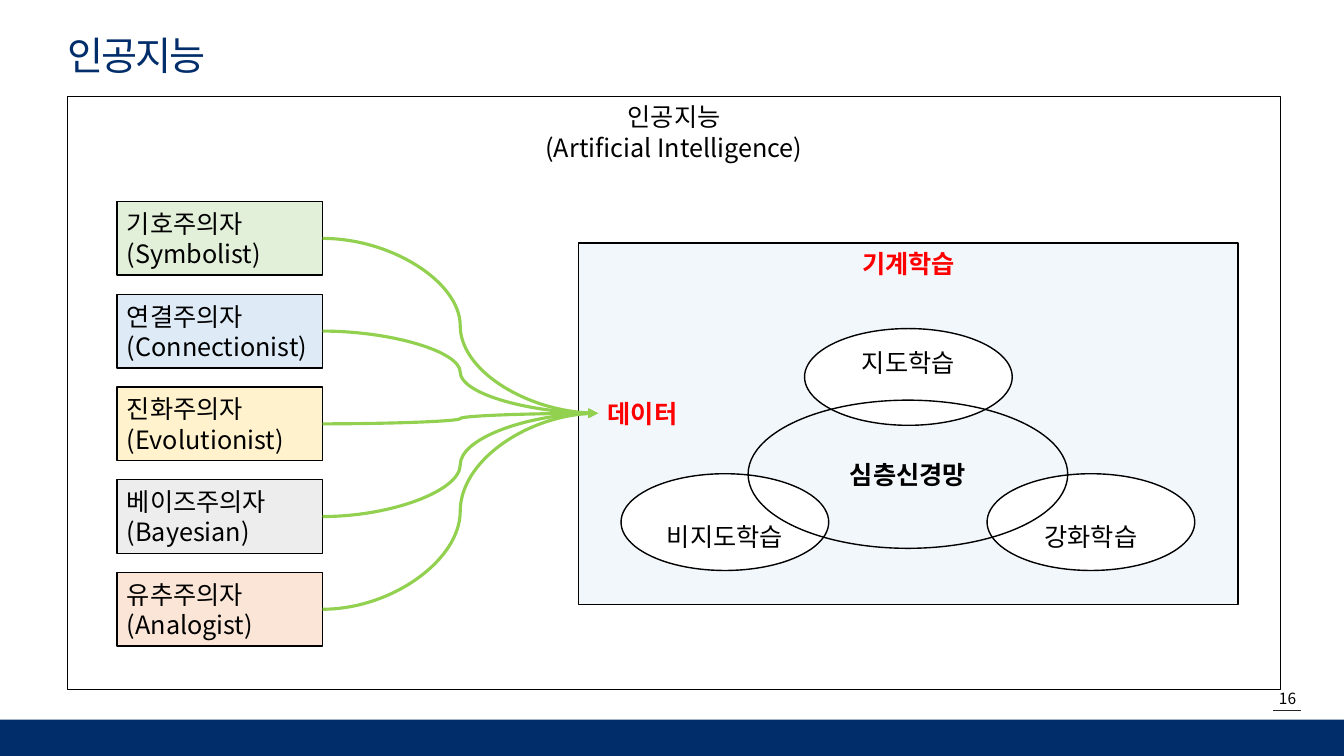
from lxml import etree
from pptx import Presentation
from pptx.dml.color import RGBColor
from pptx.enum.shapes import MSO_CONNECTOR, MSO_SHAPE
from pptx.enum.text import MSO_ANCHOR, PP_ALIGN
from pptx.oxml.ns import qn
from pptx.util import Inches, Pt

RECT, OVAL = MSO_SHAPE.RECTANGLE, MSO_SHAPE.OVAL
LINE, CURVE = MSO_CONNECTOR.STRAIGHT, MSO_CONNECTOR.CURVE
TOP, MID, LOW = MSO_ANCHOR.TOP, MSO_ANCHOR.MIDDLE, MSO_ANCHOR.BOTTOM
LEFT, CENTER = PP_ALIGN.LEFT, PP_ALIGN.CENTER
NAVY, RED, GREEN, BLACK = "012D6A", "FF0000", "92D050", "000000"


def color(code):
    return RGBColor.from_string(code)


class Page:
    font = "Noto Sans CJK KR"

    def __init__(self, slide):
        self.shapes = slide.shapes

    def label(self, shape, text, size=18, ink=BLACK, bold=False,
              align=CENTER, anchor=TOP, wrap=True, track=None):
        frame = shape.text_frame
        frame.word_wrap = wrap
        frame.vertical_anchor = anchor
        para = frame.paragraphs[0]
        para.alignment = align
        for i, part in enumerate(text.split("\n")):
            if i:
                para.add_line_break()
            run = para.add_run()
            run.text = part
            font = run.font
            font.name, font.size, font.bold = self.font, Pt(size), bold
            font.color.rgb = color(ink)
            props = run._r.get_or_add_rPr()
            etree.SubElement(props, qn("a:ea"), typeface=self.font)
            if track:
                props.set("spc", str(track))

    def text(self, x, y, w, h, text, **style):
        box = self.shapes.add_textbox(Inches(x), Inches(y), Inches(w), Inches(h))
        self.label(box, text, **style)
        return box

    def shape(self, kind, x, y, w, h, fill=None, line=BLACK, alpha=None,
              text="", **style):
        item = self.shapes.add_shape(kind, Inches(x), Inches(y), Inches(w), Inches(h))
        item.shadow.inherit = False
        if fill:
            item.fill.solid()
            item.fill.fore_color.rgb = color(fill)
        else:
            item.fill.background()
        if alpha:
            tint = item._element.spPr.find(".//" + qn("a:srgbClr"))
            etree.SubElement(tint, qn("a:alpha"), val=str(alpha * 1000))
        if line:
            item.line.color.rgb = color(line)
            item.line.width = Pt(1)
        else:
            item.line.fill.background()
        if text:
            self.label(item, text, **style)
        return item

    def link(self, kind, x1, y1, x2, y2, ink, width, arrow=False):
        item = self.shapes.add_connector(
            kind, Inches(x1), Inches(y1), Inches(x2), Inches(y2))
        item.line.color.rgb = color(ink)
        item.line.width = Pt(width)
        props = item._element.spPr
        if arrow:
            etree.SubElement(props.find(qn("a:ln")), qn("a:tailEnd"), type="triangle")
        etree.SubElement(props, qn("a:effectLst"))
        return item


def main():
    deck = Presentation()
    deck.slide_width, deck.slide_height = Inches(13.33), Inches(7.5)
    page = Page(deck.slides.add_slide(deck.slide_layouts[6]))

    # Footer
    page.text(12.43, 6.79, 0.68, 0.29, "16", size=11)
    page.link(LINE, 12.63, 7.05, 12.9, 7.05, "262626", 0.5)
    page.shape(RECT, 0, 7.14, 13.33, 0.36, NAVY, None)

    # Title
    title = page.text(0.57, 0.13, 7.36, 0.68, "인공지능", size=28, ink=NAVY,
                      align=LEFT, anchor=MID, track=-150)
    title.text_frame.paragraphs[0].line_spacing = 1.3

    # Machine learning panel
    page.shape(RECT, 5.74, 2.41, 6.54, 3.59, "DEEBF7", alpha=37,
               text="기계학습", ink=RED, bold=True)
    for x, y, name, anchor in [(7.98, 3.26, "지도학습", TOP),
                               (6.16, 4.7, "비지도학습", LOW),
                               (9.79, 4.7, "강화학습", LOW)]:
        page.shape(OVAL, x, y, 2.06, 0.96, "FFFFFF", text=name,
                   anchor=anchor, wrap=False)
    page.shape(OVAL, 7.42, 3.97, 3.17, 1.47, text="심층신경망", bold=True, anchor=MID)

    # Outer frame
    page.shape(RECT, 0.67, 0.96, 12.03, 5.88,
               text="인공지능\n(Artificial Intelligence)")

    # Schools of thought, each feeding the data label
    data = page.text(5.93, 3.9, 0.96, 0.4, "데이터", ink=RED, bold=True,
                     align=LEFT, wrap=False)
    schools = [("기호주의자\n(Symbolist)", "E2F0D9"),
               ("연결주의자\n(Connectionist)", "DEEBF7"),
               ("진화주의자\n(Evolutionist)", "FFF2CC"),
               ("베이즈주의자\n(Bayesian)", "EDEDED"),
               ("유추주의자\n(Analogist)", "FBE5D6")]
    left, wide, high, step = 1.16, 2.04, 0.73, 0.92
    for i, (name, fill) in enumerate(schools):
        top = 2 + i * step
        box = page.shape(RECT, left, top, wide, high, fill, text=name,
                         align=LEFT, anchor=MID)
        curve = page.link(CURVE, left + wide, top + high / 2, 5.93, 4.1,
                          GREEN, 2.25, arrow=True)
        curve.begin_connect(box, 3)
        curve.end_connect(data, 1)

    deck.save("out.pptx")


if __name__ == "__main__":
    main()
